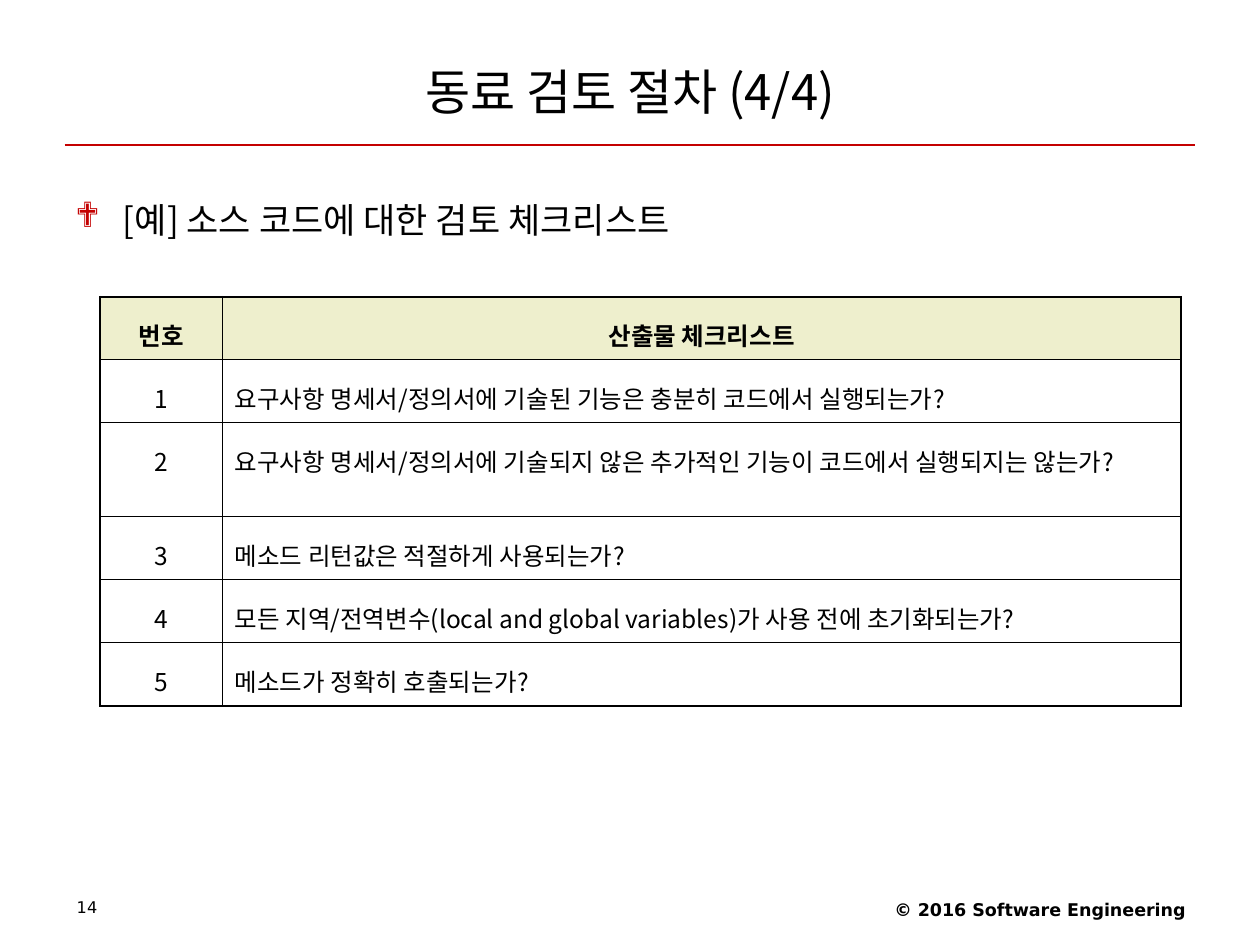
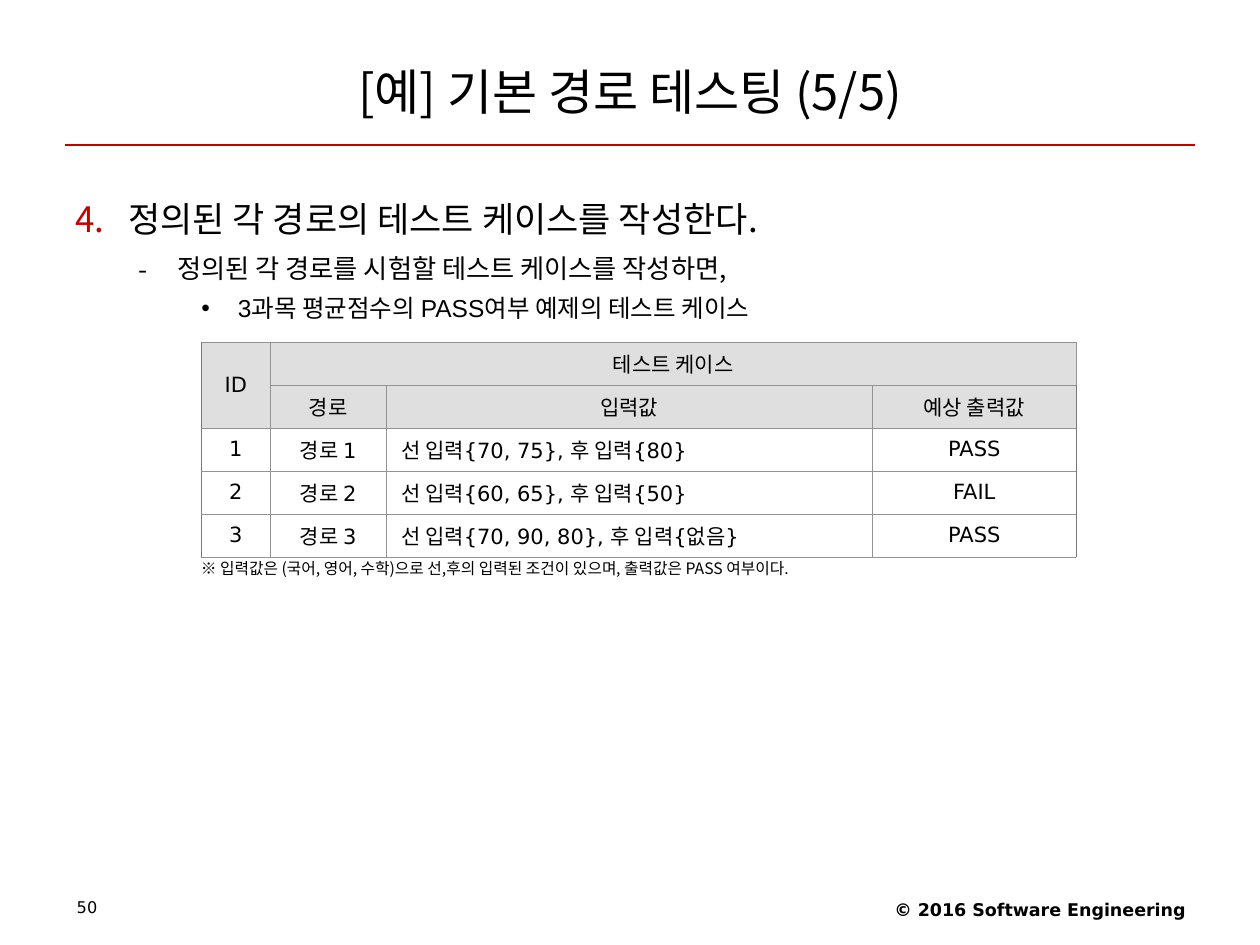
from dataclasses import dataclass

from lxml import etree
from pptx import Presentation
from pptx.dml.color import RGBColor
from pptx.enum.shapes import MSO_CONNECTOR
from pptx.enum.text import MSO_ANCHOR, PP_ALIGN
from pptx.oxml.ns import qn
from pptx.util import Pt

LEFT, CENTER, RIGHT, JUSTIFY = PP_ALIGN.LEFT, PP_ALIGN.CENTER, PP_ALIGN.RIGHT, PP_ALIGN.JUSTIFY
TOP, MIDDLE = MSO_ANCHOR.TOP, MSO_ANCHOR.MIDDLE
STRAIGHT = MSO_CONNECTOR.STRAIGHT


@dataclass(frozen=True)
class Theme:
    text: str = "000000"
    accent: str = "C40000"
    checklist_head: str = "EEEFCD"
    cases_head: str = "DFDFDF"
    cases_side: str = "787878"
    cases_grid: str = "939393"
    korean: str = "Noto Sans CJK KR"
    latin: str = "DejaVu Sans"
    arial: str = "Arial"
    symbol: str = "Wingdings"
    title: float = 28
    item: float = 20
    subitem: float = 15
    detail: float = 14
    checklist: float = 14
    cases: float = 12
    footer: float = 10
    number: float = 9.2
    note: float = 9


THEME = Theme()


def apply(obj, formats):
    for name, value in formats.items():
        setattr(obj, name, value)


def child(parent, tag, **attrs):
    return etree.SubElement(parent, qn(tag), attrs)


def write(p, text, size, font=THEME.korean, bold=False, **formats):
    apply(p, formats)
    r = p.add_run()
    r.text = text
    apply(r.font, {"size": Pt(size), "name": font, "bold": bold})
    r.font.color.rgb = RGBColor.from_string(THEME.text)
    rPr = r.font._element
    rPr.set("kern", "0")
    child(rPr, "a:ea", typeface=THEME.korean)


def add_box(s, left, top, width, height, anchor=TOP, inset=(7.2, 3.6)):
    sp = s.shapes.add_textbox(Pt(left), Pt(top), Pt(width), Pt(height))
    tf = sp.text_frame
    side, edge = Pt(inset[0]), Pt(inset[1])
    apply(tf, {"word_wrap": True, "vertical_anchor": anchor,
               "margin_left": side, "margin_right": side,
               "margin_top": edge, "margin_bottom": edge})
    return tf


def add_bullet(p, margin, hang, color, font=THEME.korean, char=None, start=None):
    pPr = p._p.get_or_add_pPr()
    pPr.set("marL", str(Pt(margin)))
    pPr.set("indent", str(-Pt(hang)))
    child(child(pPr, "a:buClr"), "a:srgbClr", val=color)
    child(pPr, "a:buFont", typeface=font)
    if start:
        child(pPr, "a:buAutoNum", type="arabicPeriod", startAt=str(start))
    else:
        child(pPr, "a:buChar", char=char)


def add_body(s, height, items):
    tf = add_box(s, 36, 100, 648, height)
    for i, (text, bullet, formats) in enumerate(items):
        p = tf.paragraphs[0] if i == 0 else tf.add_paragraph()
        add_bullet(p, **bullet)
        write(p, text, **formats)


def add_base(prs, title, number):
    s = prs.slides.add_slide(prs.slide_layouts[6])
    rule = s.shapes.add_connector(STRAIGHT, Pt(37), Pt(82.8), Pt(683), Pt(82.8))
    rule.line.color.rgb = RGBColor.from_string(THEME.accent)
    rule.line.width = Pt(0.75)
    child(rule._element.spPr, "a:effectLst")
    write(add_box(s, 456.3, 510.2, 228.2, 20.9).paragraphs[0], "© 2016 Software Engineering",
          THEME.footer, THEME.latin, True, alignment=RIGHT)
    write(add_box(s, 36.8, 510.5, 167.8, 20.2).paragraphs[0], number,
          THEME.number, THEME.latin, line_spacing=0.9)
    write(add_box(s, 36, 21.6, 648, 61.2, MIDDLE).paragraphs[0], title,
          THEME.title, alignment=CENTER)
    return s


def add_borders(cell, borders):
    tcPr = cell._tc.get_or_add_tcPr()
    for side, (color, width) in zip("LRTB", borders):
        ln = child(tcPr, f"a:ln{side}", w=str(Pt(width)))
        child(child(ln, "a:solidFill"), "a:srgbClr", val=color)


def add_grid(s, left, top, widths, heights, rows, aligns, head_rows, head_fill,
             side, edge, inner, text, bold_head=False, anchor=TOP, inset=7.2):
    shape = s.shapes.add_table(len(rows), len(widths), Pt(left), Pt(top),
                               Pt(sum(widths)), Pt(sum(heights)))
    table = shape.table
    apply(table, {"first_row": False, "horz_banding": False})
    for column, width in zip(table.columns, widths):
        column.width = Pt(width)
    for row, height in zip(table.rows, heights):
        row.height = Pt(height)
    last_row, last_col = len(rows) - 1, len(widths) - 1
    for y, values in enumerate(rows):
        head = y < head_rows
        for x, value in enumerate(values):
            cell = table.cell(y, x)
            apply(cell, {"vertical_anchor": anchor, "margin_left": Pt(inset),
                         "margin_right": Pt(inset)})
            add_borders(cell, (side if x == 0 else inner, side if x == last_col else inner,
                               edge if y == 0 else inner, edge if y == last_row else inner))
            if head:
                cell.fill.solid()
                cell.fill.fore_color.rgb = RGBColor.from_string(head_fill)
            else:
                cell.fill.background()
            if value:
                write(cell.text_frame.paragraphs[0], value, bold=head and bold_head,
                      alignment=CENTER if head else aligns[x], **text)
    return table


def add_checklist_slide(prs):
    s = add_base(prs, "동료 검토 절차 (4/4)", "14")
    add_body(s, 396.7, [
        ("[예] 소스 코드에 대한 검토 체크리스트",
         {"margin": 27.2, "hang": 27.2, "color": THEME.accent, "font": THEME.symbol,
          "char": "❖"},
         {"size": THEME.item, "line_spacing": 1.4}),
    ])
    checks = [
        "요구사항 명세서/정의서에 기술된 기능은 충분히 코드에서 실행되는가?",
        "요구사항 명세서/정의서에 기술되지 않은 추가적인 기능이 코드에서 실행되지는 않는가?",
        "메소드 리턴값은 적절하게 사용되는가?",
        "모든 지역/전역변수(local and global variables)가 사용 전에 초기화되는가?",
        "메소드가 정확히 호출되는가?",
    ]
    rows = [("번호", "산출물 체크리스트")]
    rows += [(str(i), check) for i, check in enumerate(checks, 1)]
    outer = (THEME.text, 1.08)
    add_grid(s, 57.2, 169.6, [69.8, 548], [36, 36, 53.7, 36, 36, 36], rows, [CENTER, LEFT],
             1, THEME.checklist_head, outer, outer, (THEME.text, 0.45),
             {"size": THEME.checklist, "line_spacing": 1.4}, bold_head=True)


def add_test_case_slide(prs):
    s = add_base(prs, "[예] 기본 경로 테스팅 (5/5)", "50")
    add_body(s, 115.2, [
        ("정의된 각 경로의 테스트 케이스를 작성한다.",
         {"margin": 30.2, "hang": 30.2, "color": THEME.accent, "start": 4},
         {"size": THEME.item, "line_spacing": 1.4}),
        ("정의된 각 경로를 시험할 테스트 케이스를 작성하면,",
         {"margin": 58.3, "hang": 22.3, "color": THEME.text, "char": "-"},
         {"size": THEME.subitem, "line_spacing": 1.2, "space_before": Pt(3.7), "level": 1}),
        ("3과목 평균점수의 PASS여부 예제의 테스트 케이스",
         {"margin": 92.9, "hang": 20.9, "color": THEME.text, "font": THEME.arial, "char": "•"},
         {"size": THEME.detail, "font": THEME.arial, "line_spacing": 1.1,
          "space_before": Pt(3.5), "level": 2}),
    ])
    rows = [
        ("ID", "테스트 케이스", "", ""),
        ("", "경로", "입력값", "예상 출력값"),
        ("1", "경로 1", "선 입력{70, 75}, 후 입력{80}", "PASS"),
        ("2", "경로 2", "선 입력{60, 65}, 후 입력{50}", "FAIL"),
        ("3", "경로 3", "선 입력{70, 90, 80}, 후 입력{없음}", "PASS"),
    ]
    grid = (THEME.cases_grid, 0.06)
    table = add_grid(s, 115.1, 195.4, [39.3, 66.3, 277.8, 116.6], [24.57] * len(rows), rows,
                     [CENTER, CENTER, JUSTIFY, CENTER], 2, THEME.cases_head,
                     (THEME.cases_side, 0.06), grid, grid,
                     {"size": THEME.cases, "font": THEME.latin}, anchor=MIDDLE, inset=8.6)
    table.cell(0, 0).merge(table.cell(1, 0))
    table.cell(0, 1).merge(table.cell(0, 3))
    note = add_box(s, 106.2, 315, 427, 19.4, MIDDLE, (8.6, 4.3))
    write(note.paragraphs[0],
          "※ 입력값은 (국어, 영어, 수학)으로 선,후의 입력된 조건이 있으며, 출력값은 PASS 여부이다.",
          THEME.note)


def main():
    prs = Presentation()
    apply(prs, {"slide_width": Pt(720), "slide_height": Pt(540)})
    add_checklist_slide(prs)
    add_test_case_slide(prs)
    prs.save("out.pptx")


if __name__ == "__main__":
    main()
